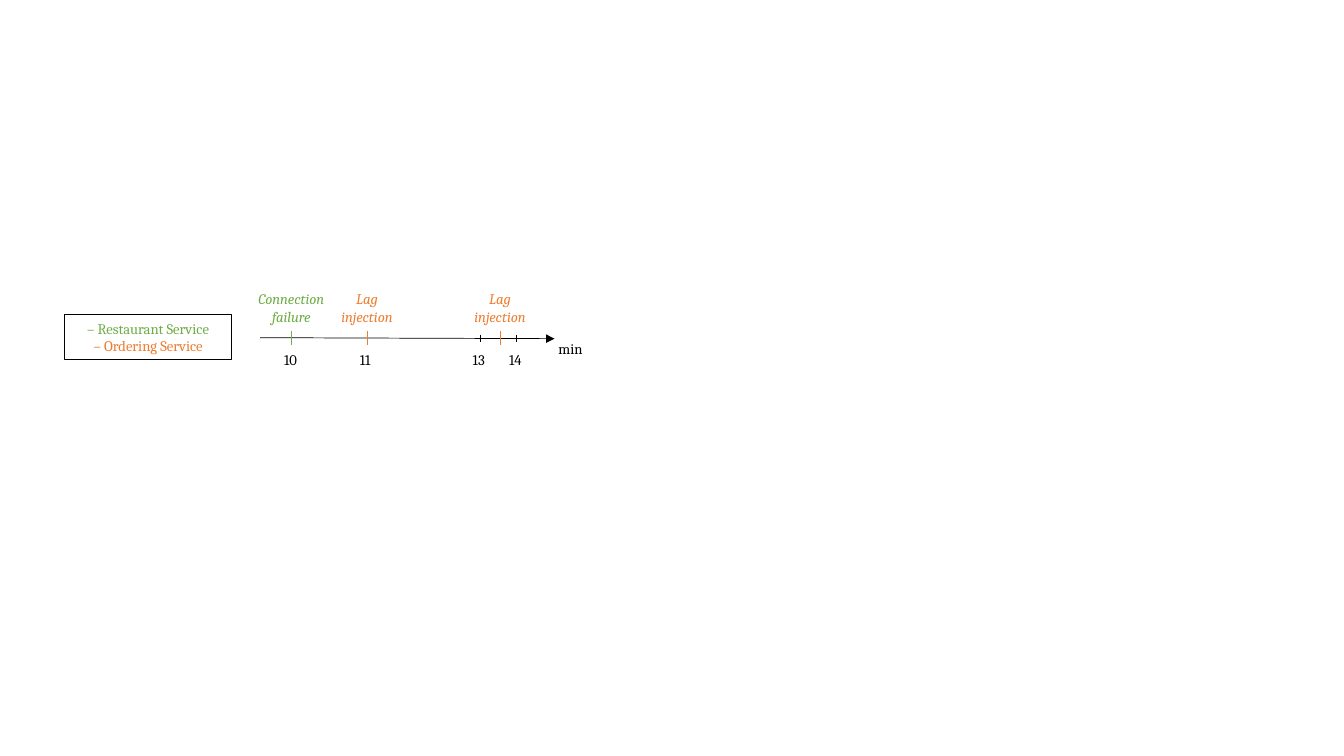
import pptx
import pptx.util
import pptx.dml.color
import pptx.enum.shapes
import pptx.enum.text
import pptx.oxml.ns
import lxml.etree

Inches = pptx.util.Inches
Pt = pptx.util.Pt
RGBColor = pptx.dml.color.RGBColor
Align = pptx.enum.text.PP_ALIGN

BLACK = RGBColor(0x00, 0x00, 0x00)
GREEN = RGBColor(0x70, 0xAD, 0x47)   # Restaurant Service
ORANGE = RGBColor(0xED, 0x7D, 0x31)  # Ordering Service

AXIS_Y = 3.355
EVENT_HALF = 0.07
MINUTE_HALF = 0.035


def add_line(s, x1, y1, x2, y2, color, arrow=False):
    line = s.shapes.add_connector(
        pptx.enum.shapes.MSO_CONNECTOR.STRAIGHT,
        Inches(x1), Inches(y1), Inches(x2), Inches(y2))
    line.line.color.rgb = color
    line.line.width = Pt(0.5)
    qn = pptx.oxml.ns.qn
    if arrow:
        ln = line.line._get_or_add_ln()
        lxml.etree.SubElement(ln, qn("a:tailEnd"), type="triangle")
    lxml.etree.SubElement(line._element.spPr, qn("a:effectLst"))


def add_tick(s, x, half, color):
    add_line(s, x, AXIS_Y - half, x, AXIS_Y + half, color)


def write_lines(tf, lines, align, italic=False):
    """Fill a text frame with one paragraph per (text, color) pair."""
    for i, (text, color) in enumerate(lines):
        p = tf.add_paragraph() if i else tf.paragraphs[0]
        p.text = text
        p.alignment = align
        p.font.name = "Cambria"
        p.font.size = Pt(10.5)
        p.font.italic = italic
        p.font.color.rgb = color


def add_label(s, x, y, w, h, lines, align=Align.LEFT, italic=False, wrap=False):
    tf = s.shapes.add_textbox(Inches(x), Inches(y), Inches(w), Inches(h)).text_frame
    tf.word_wrap = wrap
    tf.auto_size = pptx.enum.text.MSO_AUTO_SIZE.SHAPE_TO_FIT_TEXT
    write_lines(tf, lines, align, italic)


def add_minute(s, x, text):
    add_label(s, x - 0.17, 3.43, 0.35, 0.28, [(text, BLACK)])


def add_event(s, x, words, color):
    add_tick(s, x, EVENT_HALF, color)
    add_label(s, x - 0.47, 2.83, 0.94, 0.45, [(word, color) for word in words],
              Align.CENTER, italic=True, wrap=True)


def add_legend(s, x, y, w, h, lines):
    sp = s.shapes.add_shape(pptx.enum.shapes.MSO_SHAPE.RECTANGLE,
                            Inches(x), Inches(y), Inches(w), Inches(h))
    sp.shadow.inherit = False
    sp.fill.background()
    sp.line.color.rgb = BLACK
    sp.line.width = Pt(0.75)
    tf = sp.text_frame
    tf.word_wrap = True
    tf.vertical_anchor = pptx.enum.text.MSO_ANCHOR.TOP
    write_lines(tf, lines, Align.CENTER)


def main():
    prs = pptx.Presentation()
    prs.slide_width = Inches(13.33)
    prs.slide_height = Inches(7.5)
    s = prs.slides.add_slide(prs.slide_layouts[6])

    # Time axis
    add_line(s, 2.58, 3.35, 5.5, 3.36, BLACK, arrow=True)
    add_label(s, 5.44, 3.32, 0.45, 0.28, [("min", BLACK)])

    # Minutes, with black ticks where no event falls
    for x, text in ((2.89, "10"), (3.64, "11"), (4.76, "13"), (5.12, "14")):
        add_minute(s, x, text)
    for x in (4.76, 5.12):
        add_tick(s, x, MINUTE_HALF, BLACK)

    # Injected faults
    add_event(s, 2.89, ("Connection", "failure"), GREEN)
    for x in (3.64, 4.96):
        add_event(s, x, ("Lag", "injection"), ORANGE)

    # Legend
    add_legend(s, 0.64, 3.12, 1.66, 0.45,
               [("– Restaurant Service", GREEN), ("– Ordering Service", ORANGE)])

    prs.save("out.pptx")


if __name__ == "__main__":
    main()
